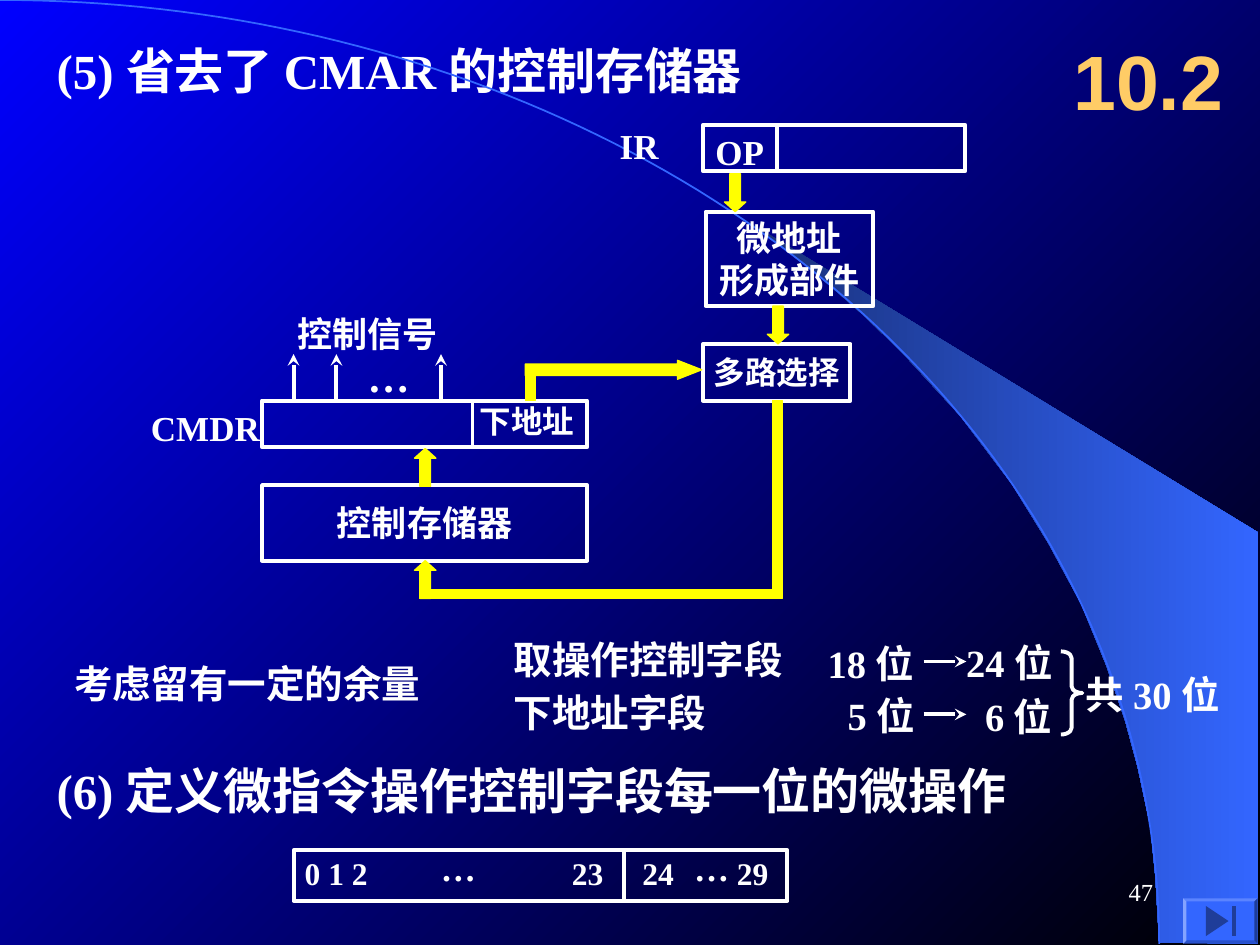
"""Build the slide on the control memory without a CMAR."""
from dataclasses import dataclass
from math import cos, pi, sin

from lxml import etree
from pptx import Presentation
from pptx.dml.color import RGBColor
from pptx.enum.shapes import MSO_CONNECTOR, MSO_SHAPE
from pptx.enum.text import MSO_ANCHOR, MSO_AUTO_SIZE, PP_ALIGN
from pptx.oxml.ns import qn
from pptx.util import Inches, Pt

RECT = MSO_SHAPE.RECTANGLE
UP, DOWN, RIGHT = MSO_SHAPE.UP_ARROW, MSO_SHAPE.DOWN_ARROW, MSO_SHAPE.RIGHT_ARROW
BRACE, BEVEL = MSO_SHAPE.RIGHT_BRACE, MSO_SHAPE.BEVEL
STRAIGHT = MSO_CONNECTOR.STRAIGHT
TOP, MIDDLE = MSO_ANCHOR.TOP, MSO_ANCHOR.MIDDLE
LEFT, CENTER, ALIGN_RIGHT = PP_ALIGN.LEFT, PP_ALIGN.CENTER, PP_ALIGN.RIGHT
NO_AUTOFIT = MSO_AUTO_SIZE.NONE
COLORS = {"white": "FFFFFF", "bus": "FFFF00", "section": "FFCC66", "sky": "0000FF",
          "night": "000000", "wing": "3366FF", "wing_dark": "182F76", "icon": "1F3D99"}


@dataclass
class Label:
    text: str
    left: float
    top: float
    width: float
    height: float = 0.44
    size: float = 20
    wrap: bool = False


@dataclass
class Block:
    left: float
    top: float
    width: float
    height: float
    text: str = ""
    size: float = 20


@dataclass
class Bus:
    kind: int
    left: float
    top: float
    width: float
    height: float
    adjustments: tuple = ()


@dataclass
class Rule:
    start: tuple
    end: tuple
    arrow: bool = False


LABELS = [
    Label("(6) 定义微指令操作控制字段每一位的微操作", 0.35, 5.99, 8.48, 0.57, 28, True),
    Label("考虑留有一定的余量", 0.49, 5.19, 3.67, 0.47, 22, True),
    Label("取操作控制字段", 3.98, 5, 2.33, 0.47, 22),
    Label("下地址字段", 3.98, 5.42, 1.72, 0.47, 22),
    Label("18 位", 6.47, 5.03, 0.96, 0.47, 22),
    Label("5 位", 6.63, 5.44, 0.8, 0.47, 22),
    Label("24 位", 7.57, 5.02, 0.96, 0.47, 22),
    Label("6 位", 7.72, 5.45, 0.8, 0.47, 22),
    Label("共 30 位", 8.52, 5.28, 1.4, 0.47, 22),
    Label("…", 3.4, 6.67, 0.48),
    Label("…", 5.41, 6.67, 0.48),
    Label("OP", 5.58, 0.99, 0.58),
    Label("IR", 4.82, 0.94, 0.51),
    Label("下地址", 3.71, 3.14, 0.95, 0.4, 18),
    Label("…", 2.82, 2.73, 0.53, 0.5, 24),
    Label("CMDR", 1.1, 3.18, 1.06),
    Label("控制信号", 2.26, 2.43, 1.31),
]
BIT_TABS = (2.12, 2.68, 3.43)
BLOCKS = [
    Block(5.58, 0.99, 2.08, 0.37),
    Block(5.6, 1.68, 1.33, 0.75, "微地址\n形成部件"),
    Block(5.58, 2.73, 1.17, 0.45, "多路选择", 18),
    Block(2.08, 3.18, 2.58, 0.37),
    Block(2.08, 3.85, 2.58, 0.6, "控制存储器"),
    Block(2.33, 6.75, 3.92, 0.4),
]
DIVIDERS = [Rule((x, top), (x, bottom)) for x, top, bottom in
            ((6.17, 0.99, 1.36), (3.75, 3.18, 3.56), (4.95, 6.75, 7.17))]
SIGNALS = [Rule((x, 3.18), (x, 2.81), True) for x in (2.33, 2.67, 3.5)]
WIDENINGS = [Rule((7.33, y), (7.67, y), True) for y in (5.25, 5.67)]
BUSES = [
    *(Bus(kind, x, y, 0.17, 0.3, (0.5, 0.45)) for kind, x, y in
      ((UP, 3.29, 3.56), (UP, 3.29, 4.45), (DOWN, 6.09, 2.43), (DOWN, 5.75, 1.38))),
    Bus(RECT, 3.33, 4.68, 2.83, 0.07),
    Bus(RECT, 6.13, 3.18, 0.08, 1.57),
    Bus(RIGHT, 4.17, 2.86, 1.4, 0.15, (0.61, 1.28)),
    Bus(RECT, 4.17, 2.91, 0.08, 0.27),
]
WING = [(9.2, 7.48), (9.99, 7.49), (9.99, 4.23), (5.89, 1.73), (6.24, 1.99), (6.53, 2.22),
        (6.85, 2.5), (7.16, 2.8), (7.62, 3.3), (8.03, 3.84), (8.32, 4.31), (8.58, 4.79),
        (8.78, 5.28), (8.93, 5.72), (9.03, 6.09), (9.13, 6.56), (9.17, 6.96)]
ARC_STEPS = 90
ARC = [(9.2 * sin(i * pi / 2 / ARC_STEPS), 7.49 * (1 - cos(i * pi / 2 / ARC_STEPS)))
       for i in range(ARC_STEPS + 1)]
NEXT_ICON = [[(9.75, 7.31), (9.57, 7.43), (9.57, 7.19)],
             [(9.78, 7.19), (9.78, 7.43), (9.81, 7.43), (9.81, 7.19)]]


def rgb(name: str) -> RGBColor:
    return RGBColor.from_string(COLORS[name])


def write(shape, text: str, *, size=20, color="white", font="Times New Roman", bold=True,
          align=LEFT, anchor=TOP, wrap=False, tabs=()) -> None:
    frame = shape.text_frame
    frame.auto_size = NO_AUTOFIT
    frame.word_wrap = wrap
    frame.vertical_anchor = anchor
    frame.text = text
    for paragraph in frame.paragraphs:
        paragraph.alignment = align
        if tabs:
            stops = etree.SubElement(paragraph._p.get_or_add_pPr(), qn("a:tabLst"))
            for stop in tabs:
                etree.SubElement(stops, qn("a:tab"), pos=str(Inches(stop)), algn="l")
        for run in paragraph.runs:
            run.font.size, run.font.bold, run.font.name = Pt(size), bold, font
            run.font.color.rgb = rgb(color)


def add_label(slide, label: Label, **style) -> None:
    box = slide.shapes.add_textbox(*map(Inches, (label.left, label.top, label.width, label.height)))
    write(box, label.text, size=label.size, wrap=label.wrap, **style)


def paint(shape, fill=None, line=None, weight=2.25) -> None:
    shape.shadow.inherit = False
    if fill:
        shape.fill.solid()
        shape.fill.fore_color.rgb = rgb(fill)
    else:
        shape.fill.background()
    if line:
        shape.line.color.rgb = rgb(line)
        shape.line.width = Pt(weight)
    else:
        shape.line.fill.background()


def add_preset(slide, part: Bus, **look):
    shape = slide.shapes.add_shape(
        part.kind, *map(Inches, (part.left, part.top, part.width, part.height)))
    for index, value in enumerate(part.adjustments):
        shape.adjustments[index] = value
    paint(shape, **look)
    return shape


def add_block(slide, block: Block) -> None:
    shape = add_preset(slide, Bus(RECT, block.left, block.top, block.width, block.height),
                       line="white")
    if block.text:
        write(shape, block.text, size=block.size, align=CENTER, anchor=MIDDLE)


def add_rule(slide, rule: Rule) -> None:
    connector = slide.shapes.add_connector(STRAIGHT, *map(Inches, (*rule.start, *rule.end)))
    connector.line.color.rgb = rgb("white")
    connector.line.width = Pt(2.25)
    if rule.arrow:
        etree.SubElement(connector.line._get_or_add_ln(), qn("a:tailEnd"), type="stealth")
    etree.SubElement(connector._element.spPr, qn("a:effectLst"))


def add_outline(slide, points: list, closed=True, **look):
    corners = [(Inches(x), Inches(y)) for x, y in points]
    builder = slide.shapes.build_freeform(*corners[0])
    builder.add_line_segments(corners[1:], close=closed)
    shape = builder.convert_to_shape()
    paint(shape, **look)
    return shape


def set_gradient(fill, first: str, last: str, angle: float) -> None:
    fill.gradient()
    fill.gradient_angle = angle
    for stop, name in zip(fill.gradient_stops, (first, last)):
        stop.color.rgb = rgb(name)


def main() -> None:
    deck = Presentation()
    deck.slide_width, deck.slide_height = Inches(10), Inches(7.5)
    slide = deck.slides.add_slide(deck.slide_layouts[5])
    set_gradient(slide.background.fill, "sky", "night", 315)
    wing = add_outline(slide, WING)
    set_gradient(wing.fill, "wing_dark", "wing", 0)
    add_outline(slide, ARC, closed=False, line="wing", weight=1)

    heading = slide.shapes.title
    heading.left, heading.top, heading.width, heading.height = map(Inches, (0.35, 0.27, 6.65, 0.57))
    write(heading, "(5) 省去了 CMAR 的控制存储器", size=28, wrap=True)
    add_label(slide, Label("10.2", 8.42, 0.17, 1.58, 0.92, 44, True),
              color="section", font="Arial", anchor=MIDDLE)

    for block in BLOCKS:
        add_block(slide, block)
    for rule in DIVIDERS + SIGNALS + WIDENINGS:
        add_rule(slide, rule)
    for bus in BUSES:
        add_preset(slide, bus, fill="bus", line="bus", weight=0.75)
    for label in LABELS:
        add_label(slide, label)
    add_label(slide, Label("0 1 2\t23\t24\t29", 2.32, 6.73, 3.89, 0.4, 18, True), tabs=BIT_TABS)
    add_preset(slide, Bus(BRACE, 8.42, 5.17, 0.17, 0.66, (0.31, 0.5)), line="white")

    add_preset(slide, Bus(BEVEL, 9.39, 7.13, 0.59, 0.36, (0.07,)), fill="wing")
    for icon_part in NEXT_ICON:
        add_outline(slide, icon_part, fill="icon")
    add_label(slide, Label("47", 7.17, 6.83, 2.08, 0.5, 14, True),
              bold=False, align=ALIGN_RIGHT, anchor=MIDDLE)
    deck.save("out.pptx")


if __name__ == "__main__":
    main()
